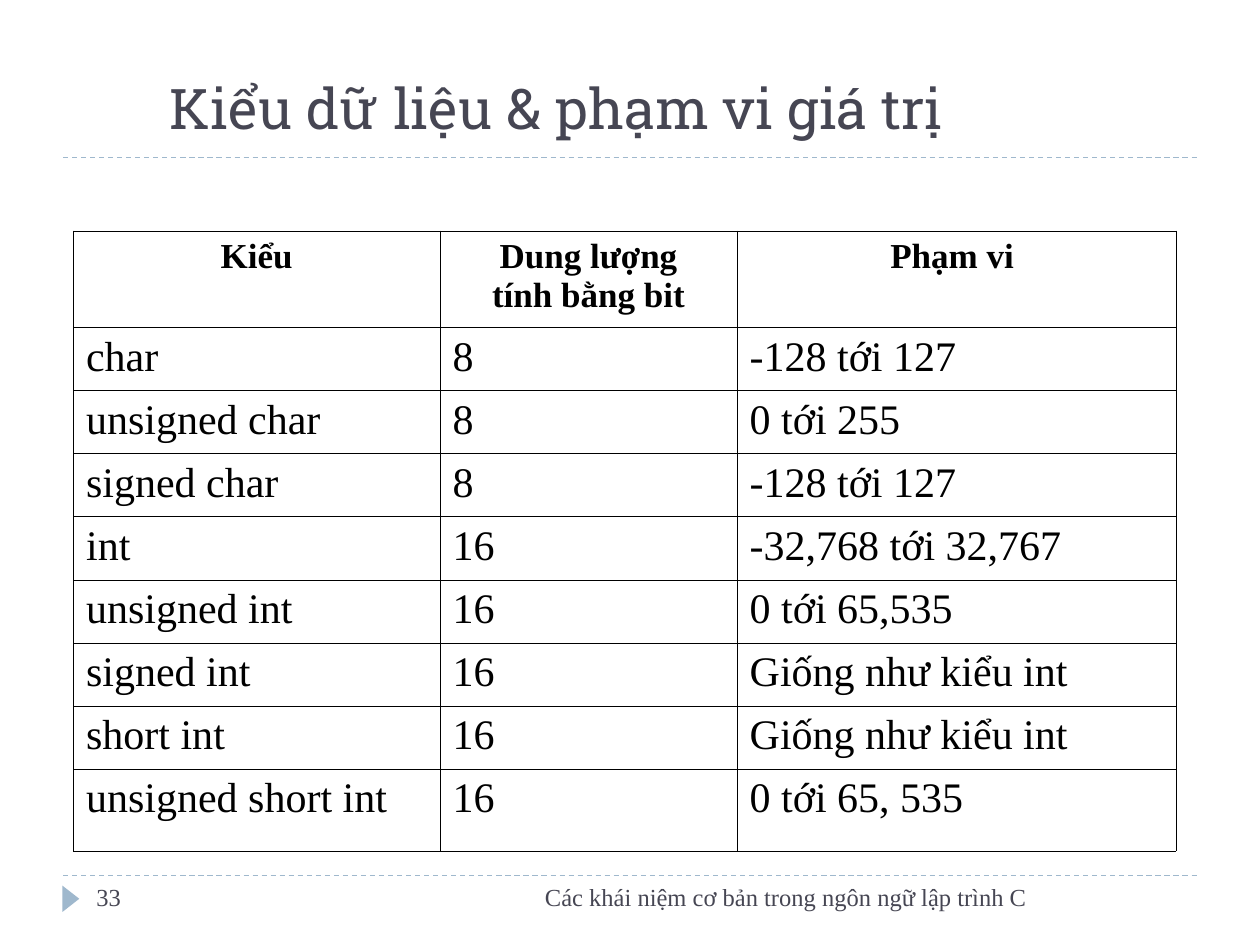
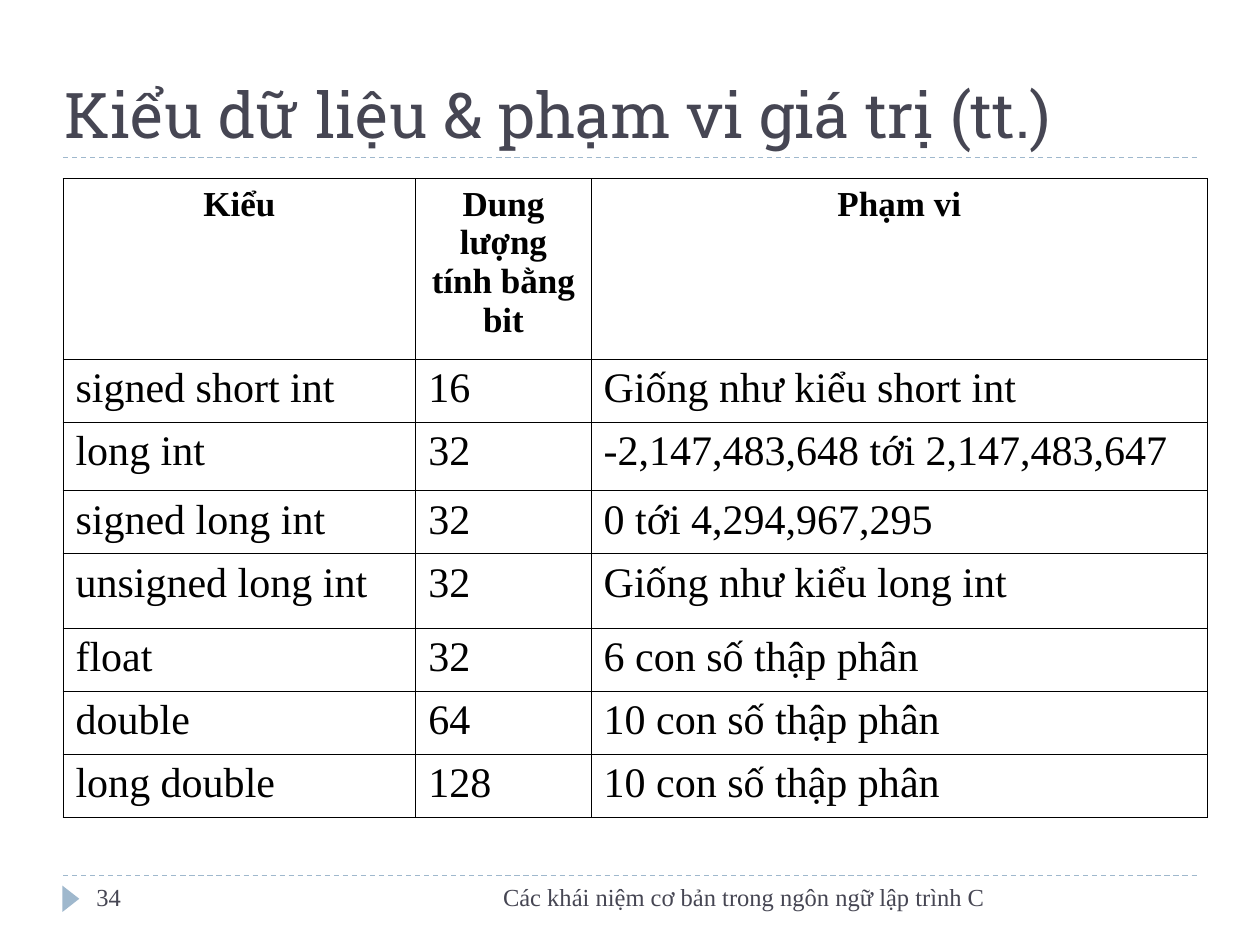
from lxml import etree
from pptx import Presentation
from pptx import util as u
from pptx.dml.color import RGBColor
from pptx.enum import dml, shapes, text
from pptx.oxml import parse_xml
from pptx.oxml.ns import nsdecls, qn

SERIF, SLAB = "Times New Roman", "Roboto Slab"
INK, ACCENT, BLACK = "464653", "9FB8CD", "000000"
LEFT, CENTER = text.PP_ALIGN.LEFT, text.PP_ALIGN.CENTER
RIGHT, JUSTIFY = text.PP_ALIGN.RIGHT, text.PP_ALIGN.JUSTIFY

prs = Presentation()
prs.slide_width, prs.slide_height = u.Inches(10), u.Inches(7.5)
UNIT = prs.slide_width / 120  # grid of 120 columns by 90 rows
RULE_LEFT, RULE_RIGHT = 6, 114
TITLE_RULE, FOOTER_TOP = 15, 83.4
FOOTER_HEIGHT = 4.8
ROW = 6


def grid(*cells):
    return [round(c * UNIT) for c in cells]


def write(tf, lines, size, color, font=SERIF, align=LEFT, bold=False):
    """Fill a text frame with one paragraph per line."""
    for i, line in enumerate(lines):
        p = tf.paragraphs[0] if i == 0 else tf.add_paragraph()
        p.alignment = align
        r = p.add_run()
        r.text = line
        r.font.name, r.font.size, r.font.bold = font, u.Pt(size), bold
        r.font.color.rgb = RGBColor.from_string(color)


FOOTER = "Các khái niệm cơ bản trong ngôn ngữ lập trình C"
SIZE_HEADER = "Dung lượng\ntính bằng bit"

pages = [
    dict(
        number="33", title="Kiểu dữ liệu & phạm vi giá trị", title_size=32,
        title_box=(15, 3, 99, 11), footer_width=61,
        table_at=(7, 22), cols=(34.9, 28.3, 41.8),
        rows=[9.2] + [ROW] * 7 + [7.8],
        cells=[
            ("Kiểu", SIZE_HEADER, "Phạm vi "),
            ("char", "8", "-128 tới 127"),
            ("unsigned char", "8", "0 tới 255"),
            ("signed char", "8", "-128 tới 127"),
            ("int", "16", "-32,768 tới 32,767"),
            ("unsigned int", "16", "0 tới 65,535"),
            ("signed int", "16", "Giống như kiểu int"),
            ("short int", "16", "Giống như kiểu int"),
            ("unsigned short int", "16", "0 tới 65, 535"),
        ],
    ),
    dict(
        number="34", title="Kiểu dữ liệu & phạm vi giá trị (tt.)", title_size=36,
        title_box=(5, 4, 100, 11), footer_width=57,
        table_at=(6, 17), cols=(33.6, 16.7, 58.7),
        rows=[17.2, ROW, 6.5, ROW, 7.1] + [ROW] * 3,
        cells=[
            ("Kiểu", SIZE_HEADER, "Phạm vi"),
            ("signed short int", "16", "Giống như kiểu short int"),
            ("long int", "32", "-2,147,483,648 tới 2,147,483,647"),
            ("signed long int", "32", "0 tới 4,294,967,295"),
            ("unsigned long int", "32", "Giống như kiểu long int"),
            ("float", "32", "6 con số thập phân"),
            ("double", "64", "10 con số thập phân"),
            ("long double", "128", "10 con số thập phân"),
        ],
    ),
]

for page in pages:
    s = prs.slides.add_slide(prs.slide_layouts[6])

    # Dashed rules and page marker
    for y in (FOOTER_TOP, TITLE_RULE):
        rule = s.shapes.add_connector(
            shapes.MSO_CONNECTOR.STRAIGHT, *grid(RULE_LEFT, y, RULE_RIGHT, y))
        rule.line.color.rgb = RGBColor.from_string(ACCENT)
        rule.line.width = u.Pt(0.75)
        rule.line.dash_style = dml.MSO_LINE.DASH
        etree.SubElement(rule._element.spPr, qn("a:effectLst"))
    marker = s.shapes.add_shape(
        shapes.MSO_SHAPE.ISOSCELES_TRIANGLE, *grid(5.5, 84.8, 2.5, 1.6))
    marker.rotation = 90
    marker.shadow.inherit = False
    marker.fill.solid()
    marker.fill.fore_color.rgb = RGBColor.from_string(ACCENT)
    marker.line.fill.background()

    # Title, footer and page number
    footer_box = (38, FOOTER_TOP, page["footer_width"], FOOTER_HEIGHT)
    number_box = (8, FOOTER_TOP, 26, FOOTER_HEIGHT)
    for box, words, size, font, align, anchor in (
        (page["title_box"], page["title"], page["title_size"], SLAB, LEFT,
         text.MSO_ANCHOR.BOTTOM),
        (footer_box, FOOTER, 14, SERIF, RIGHT, text.MSO_ANCHOR.TOP),
        (number_box, page["number"], 14, SERIF, LEFT, text.MSO_ANCHOR.TOP),
    ):
        tf = s.shapes.add_textbox(*grid(*box)).text_frame
        tf.word_wrap = True
        tf.vertical_anchor = anchor
        write(tf, [words], size, INK, font, align)

    # Table of types
    cols, rows = page["cols"], page["rows"]
    table = s.shapes.add_table(
        len(rows), len(cols), *grid(*page["table_at"], sum(cols), sum(rows))).table
    table.first_row = table.horz_banding = False
    for column, width in zip(table.columns, grid(*cols)):
        column.width = width
    for row, height, values in zip(table.rows, grid(*rows), page["cells"]):
        row.height = height
        header = values is page["cells"][0]
        for cell, value in zip(row.cells, values):
            tcPr = cell._tc.get_or_add_tcPr()
            for side in "LRTB":
                tcPr.append(parse_xml(
                    f'<a:ln{side} {nsdecls("a")} w="{u.Pt(0.45)}"><a:solidFill>'
                    f'<a:srgbClr val="{BLACK}"/></a:solidFill></a:ln{side}>'))
            cell.fill.background()
            write(cell.text_frame, value.split("\n"), 20 if header else 24, BLACK,
                  align=CENTER if header else JUSTIFY, bold=header)

prs.save("out.pptx")
